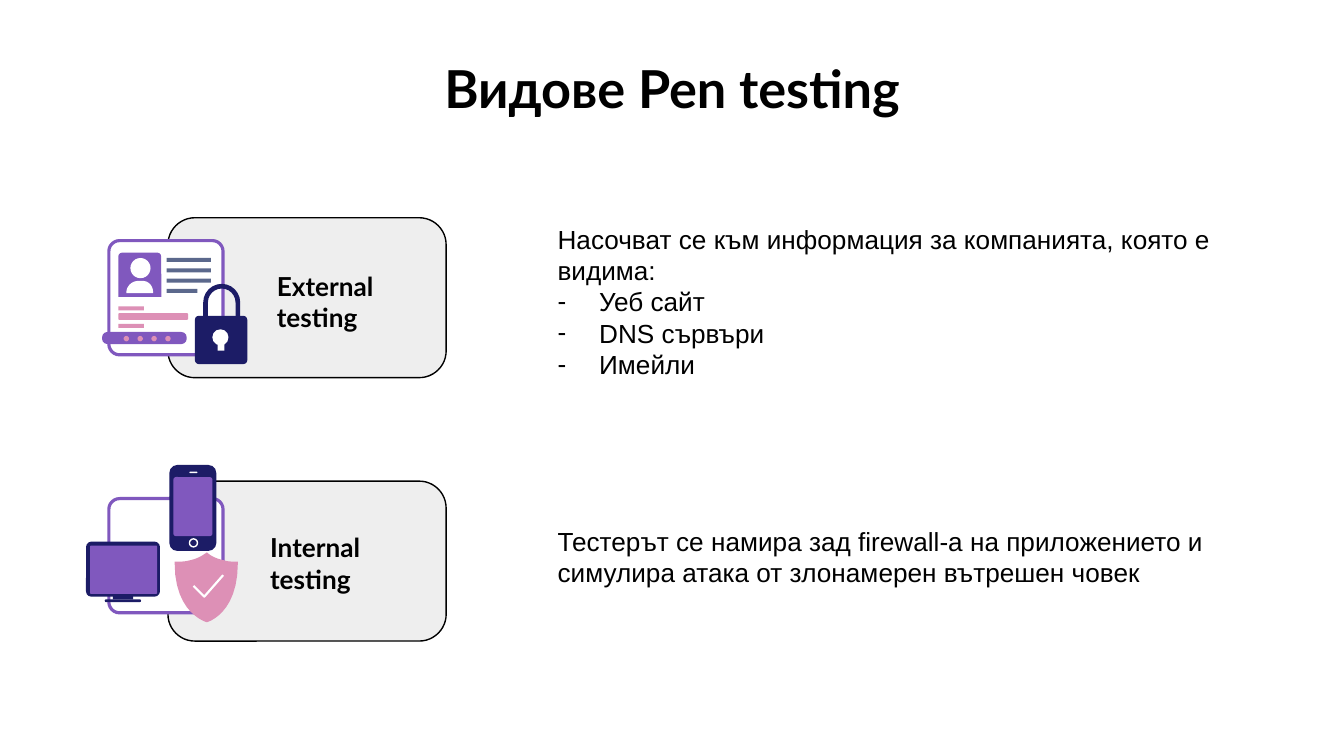
"""Build a slide on the two kinds of pen testing, external and internal."""
import pptx
import pptx.dml.color
import pptx.enum.shapes
import pptx.enum.text
import pptx.oxml.ns
import pptx.util
from lxml import etree

Inches = pptx.util.Inches
Pt = pptx.util.Pt
RGBColor = pptx.dml.color.RGBColor
MSO_SHAPE = pptx.enum.shapes.MSO_SHAPE
PP_ALIGN = pptx.enum.text.PP_ALIGN
MSO_ANCHOR = pptx.enum.text.MSO_ANCHOR
MSO_AUTO_SIZE = pptx.enum.text.MSO_AUTO_SIZE

BLACK = RGBColor(0x00, 0x00, 0x00)
WHITE = RGBColor(0xFF, 0xFF, 0xFF)
GREY = RGBColor(0xEE, 0xEE, 0xEE)
PURPLE = RGBColor(0x80, 0x58, 0xBE)
NAVY = RGBColor(0x1C, 0x1C, 0x66)
SLATE = RGBColor(0x5B, 0x68, 0x8C)
PINK = RGBColor(0xDD, 0x90, 0xB6)

RECT = MSO_SHAPE.RECTANGLE
ROUND = MSO_SHAPE.ROUNDED_RECTANGLE
ROUND_TOP = MSO_SHAPE.ROUND_2_SAME_RECTANGLE
OVAL = MSO_SHAPE.OVAL

prs = pptx.Presentation()
prs.slide_width = Inches(10)
prs.slide_height = Inches(10 * 9 / 16)
slide = prs.slides.add_slide(prs.slide_layouts[6])


def paint(shape, fill, line=None, width=0):
    shape.shadow.inherit = False
    if fill is None:
        shape.fill.background()
    else:
        shape.fill.solid()
        shape.fill.fore_color.rgb = fill
    if line is None:
        shape.line.fill.background()
    else:
        shape.line.color.rgb = line
        shape.line.width = Pt(width)


def add_text(box, paragraphs, size, font, bold=False):
    frame = slide.shapes.add_textbox(*map(Inches, box)).text_frame
    frame.word_wrap = True
    frame.text = "\n".join(paragraphs)
    for paragraph in frame.paragraphs:
        for run in paragraph.runs:
            run.font.size = Pt(size)
            run.font.name = font
            run.font.bold = bold
            run.font.color.rgb = BLACK
    return frame


title = add_text((0.5, 0.32, 9, 0.63), ["Видове Pen testing"], 28, "Lato", True)
title.margin_top = title.margin_bottom = Inches(0.1)
title.paragraphs[0].alignment = PP_ALIGN.CENTER

external_parts = [
    (ROUND, 1.25, 1.62, 2.07, 1.19, 0.2, GREY, BLACK, 0.75),
    (ROUND, 0.81, 1.79, 0.85, 0.85, 0.08, WHITE, PURPLE, 1.7),
    (ROUND_TOP, 0.88, 1.88, 0.32, 0.33, 0.03, PURPLE),
    (OVAL, 0.97, 1.92, 0.15, 0.15, 0, WHITE),
    (ROUND, 1.45, 2.35, 0.39, 0.36, 0.03, NAVY),
    (ROUND_TOP, 1.53, 2.13, 0.24, 0.33, 0.12, None, NAVY, 2.5),
    (OVAL, 1.58, 2.45, 0.12, 0.12, 0, WHITE),
    (RECT, 1.62, 2.55, 0.05, 0.06, 0, WHITE),
    (ROUND, 0.88, 2.33, 0.52, 0.05, 0.01, PINK),
    (ROUND, 0.76, 2.47, 0.63, 0.09, 0.04, PURPLE),
]
for line_no, length in enumerate([0.33, 0.33, 0.33, 0.23]):
    external_parts.append((RECT, 1.24, 1.92 + 0.23 / 3 * line_no, length, 0.03, 0, SLATE))
for top in (2.28, 2.41):
    external_parts.append((RECT, 0.88, top, 0.19, 0.03, 0, PINK))
for dot in range(4):
    external_parts.append((OVAL, 0.92 + 0.31 / 3 * dot, 2.5, 0.04, 0.04, 0, PINK))

internal_parts = [
    (ROUND, 1.25, 3.58, 2.07, 1.19, 0.2, GREY, BLACK, 0.75),
    (ROUND, 0.81, 3.71, 0.85, 0.85, 0.08, WHITE, PURPLE, 1.7),
    (ROUND, 1.26, 3.46, 0.35, 0.64, 0.06, NAVY),
    (ROUND, 1.41, 3.51, 0.06, 0.01, 0.01, WHITE),
    (ROUND, 1.29, 3.55, 0.29, 0.44, 0.02, PURPLE),
    (OVAL, 1.41, 4.01, 0.06, 0.06, 0, None, WHITE, 0.75),
    (RECT, 0.84, 4.38, 0.15, 0.08, 0, NAVY),
    (ROUND, 0.64, 4.03, 0.55, 0.41, 0.04, NAVY),
    (ROUND, 0.67, 4.06, 0.5, 0.36, 0.01, PURPLE),
    (ROUND, 0.78, 4.46, 0.27, 0.02, 0.01, NAVY),
]

shoulders = [
    [(0.94, 2.18), (0.94, 2.13), (0.98, 2.09), (1.03, 2.09)],
    [(1.06, 2.09), (1.11, 2.09), (1.14, 2.13), (1.14, 2.18)],
]
shield = [
    [(1.54, 4.11), (1.5, 4.14), (1.46, 4.16), (1.41, 4.17)],
    [(1.41, 4.17), (1.37, 4.18), (1.34, 4.18), (1.3, 4.18)],
    [(1.3, 4.19), (1.3, 4.57), (1.54, 4.63), (1.54, 4.63)],
    [(1.54, 4.63), (1.54, 4.63), (1.77, 4.57), (1.77, 4.19)],
    [(1.77, 4.18), (1.74, 4.18), (1.7, 4.18), (1.67, 4.17)],
    [(1.67, 4.17), (1.62, 4.16), (1.57, 4.14), (1.54, 4.11)],
]

icons = [(external_parts, shoulders, WHITE), (internal_parts, shield, PINK)]
for parts, curves, curve_fill in icons:
    group = slide.shapes.add_group_shape()
    for preset, left, top, width, height, radius, *colours in parts:
        part = group.shapes.add_shape(preset, *map(Inches, (left, top, width, height)))
        if radius:
            part.adjustments[0] = min(0.5, radius / min(width, height))
        paint(part, *colours)

    points = []
    for curve in curves:
        for step in range(13):
            t = step / 12
            weights = ((1 - t) ** 3, 3 * t * (1 - t) ** 2, 3 * t ** 2 * (1 - t), t ** 3)
            points.append(tuple(
                Inches(sum(w * point[axis] for w, point in zip(weights, curve)))
                for axis in (0, 1)))
    outline = group.shapes.build_freeform(*points[0])
    outline.add_line_segments(points[1:], close=True)
    paint(outline.convert_to_shape(), curve_fill)

tick = group.shapes.build_freeform(Inches(1.44), Inches(4.36))
tick.add_line_segments(
    [(Inches(1.52), Inches(4.44)), (Inches(1.66), Inches(4.28))], close=False)
paint(tick.convert_to_shape(), None, WHITE, 1.17)

for box, label in [
    ((2.06, 1.95, 1.15, 0.59), "External testing"),
    ((2.01, 3.94, 1.14, 0.5), "Internal testing"),
]:
    heading = add_text(box, [label], 14, "Lato", True)
    heading.vertical_anchor = MSO_ANCHOR.MIDDLE
    heading.margin_left = heading.margin_right = 0
    heading.margin_top = heading.margin_bottom = Inches(0.1)

targets = add_text((4.05, 1.61, 5.45, 1.51), [
    "Насочват се към информация за компанията, която е видима:",
    "Уеб сайт",
    "DNS сървъри",
    "Имейли",
], 14, "Arial")
for target in targets.paragraphs[1:]:
    properties = target._p.get_or_add_pPr()
    properties.set("marL", str(Inches(0.31)))
    properties.set("indent", str(-Inches(0.31)))
    bullet_font = etree.SubElement(properties, pptx.oxml.ns.qn("a:buFont"))
    bullet_font.set("typeface", "Arial")
    bullet = etree.SubElement(properties, pptx.oxml.ns.qn("a:buChar"))
    bullet.set("char", "-")

attack = add_text((4.05, 3.86, 5.45, 0.57), [
    "Тестерът се намира зад firewall-а на приложението и симулира атака от "
    "злонамерен вътрешен човек",
], 14, "Arial")
for description in (targets, attack):
    description.auto_size = MSO_AUTO_SIZE.SHAPE_TO_FIT_TEXT

prs.save("out.pptx")
